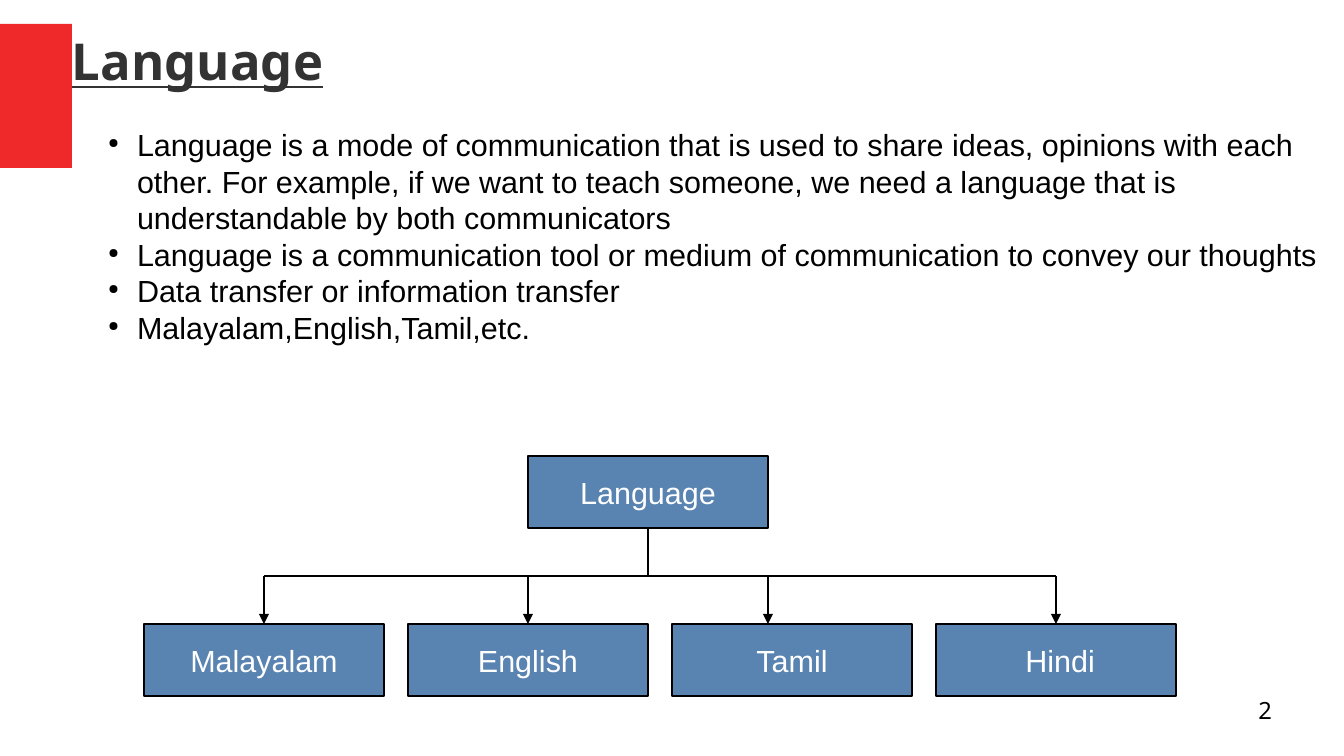
from lxml import etree
from pptx import Presentation
from pptx.dml.color import RGBColor
from pptx.enum.shapes import MSO_CONNECTOR as Link, MSO_SHAPE as Preset
from pptx.enum.text import MSO_ANCHOR as Anchor, PP_ALIGN as Align
from pptx.oxml.ns import qn
from pptx.util import Emu, Pt

SCALE = 914400 / 122
BOTTOM, TOP = 2, 0


def px(length):
    return Emu(round(length * SCALE))


def color(value):
    return RGBColor.from_string(value)


class Deck:
    BLACK, WHITE, RED, BLUE = "000000", "FFFFFF", "EF2929", "5983B0"
    BODY = {"name": "Arial", "size": Pt(18)}
    LINE_WIDTH = Pt(0.85)

    def __init__(self, width, height):
        self.file = Presentation()
        self.file.slide_width, self.file.slide_height = px(width), px(height)
        self.slide = self.file.slides.add_slide(self.file.slide_layouts[6])

    def add_words(self, paragraph, words, ink, font):
        run = paragraph.add_run()
        run.text = words
        run.font.color.rgb = color(ink)
        for key, value in font.items():
            setattr(run.font, key, value)

    def rect(self, x, y, w, h, fill, outline=None):
        shape = self.slide.shapes.add_shape(Preset.RECTANGLE, px(x), px(y), px(w), px(h))
        shape.shadow.inherit = False
        shape.fill.solid()
        shape.fill.fore_color.rgb = color(fill)
        if outline:
            shape.line.color.rgb = color(outline)
            shape.line.width = self.LINE_WIDTH
        else:
            shape.line.fill.background()
        return shape

    def node(self, x, y, w, h, label):
        box = self.rect(x, y, w, h, self.BLUE, self.BLACK)
        frame = box.text_frame
        frame.word_wrap = False
        frame.vertical_anchor = Anchor.MIDDLE
        frame.paragraphs[0].alignment = Align.CENTER
        self.add_words(frame.paragraphs[0], label, self.WHITE, self.BODY)
        return box

    def text(self, x, y, w, h, lines, ink, font, margins=(0, 0, 0, 0),
             anchor=Anchor.TOP, **layout):
        frame = self.slide.shapes.add_textbox(px(x), px(y), px(w), px(h)).text_frame
        frame.word_wrap = True
        frame.vertical_anchor = anchor
        for side, margin in zip(("left", "top", "right", "bottom"), margins):
            setattr(frame, "margin_" + side, px(margin))
        for index, words in enumerate(lines):
            paragraph = frame.add_paragraph() if index else frame.paragraphs[0]
            for key, value in layout.items():
                setattr(paragraph, key, value)
            self.add_words(paragraph, words, ink, font)
        return frame

    def bullets(self, x, y, w, h, points):
        frame = self.text(x, y, w, h, points, self.BLACK, self.BODY,
                          (12, 6, 12, 6), line_spacing=Pt(21.6))
        for paragraph in frame.paragraphs:
            props = paragraph._p.get_or_add_pPr()
            props.set("marL", str(px(29)))
            props.set("indent", str(px(-29)))
            tint = etree.SubElement(props, qn("a:buClr"))
            etree.SubElement(tint, qn("a:srgbClr"), val=self.BLACK)
            etree.SubElement(props, qn("a:buSzPct"), val="45000")
            etree.SubElement(props, qn("a:buChar"), char="●")

    def line(self, x1, y1, x2, y2, arrow=False):
        link = self.slide.shapes.add_connector(Link.STRAIGHT, px(x1), px(y1), px(x2), px(y2))
        link.line.color.rgb = color(self.BLACK)
        link.line.width = self.LINE_WIDTH
        if arrow:
            etree.SubElement(link.line._get_or_add_ln(), qn("a:tailEnd"), type="triangle")
        etree.SubElement(link._element.spPr, qn("a:effectLst"))
        return link


def main():
    deck = Deck(1344, 756)

    # Heading with its red tab
    deck.rect(0, 24, 72, 144, deck.RED)
    heading = {"name": "Noto Sans", "size": Pt(30), "bold": True, "underline": True}
    deck.text(72, 23, 1200, 144, ["Language"], "333333", heading,
              (0, 0, 0, 69), Anchor.MIDDLE)

    # Explanation
    deck.bullets(96, 120, 1248, 245, [
        "Language is a mode of communication that is used to share ideas, opinions with each "
        "other. For example, if we want to teach someone, we need a language that is "
        "understandable by both communicators",
        "Language is a communication tool or medium of communication to convey our thoughts",
        "Data transfer or information transfer",
        "Malayalam,English,Tamil,etc.",
    ])

    # Tree boxes
    box_w, box_h, step = 240, 72, 264
    root_x, root_y, row_x, bus_y, row_y = 528, 456, 144, 576, 624
    root = deck.node(root_x, root_y, box_w, box_h, "Language")
    languages = [deck.node(row_x + step * i, row_y, box_w, box_h, name)
                 for i, name in enumerate(("Malayalam", "English", "Tamil", " Hindi"))]

    # Branches: the third arrow drops from the root's right edge
    centers = [row_x + box_w // 2 + step * i for i in range(len(languages))]
    drops = centers[:2] + [root_x + box_w] + centers[3:]
    deck.line(drops[0], bus_y, drops[-1], bus_y)
    root_mid = root_x + box_w // 2
    stem = deck.line(root_mid, root_y + box_h, root_mid, bus_y)
    stem.begin_connect(root, BOTTOM)
    for x, center, language in zip(drops, centers, languages):
        branch = deck.line(x, bus_y, x, row_y, arrow=True)
        if x == center:
            branch.end_connect(language, TOP)

    # Page number
    deck.text(960, 696, 312, 52, ["2"], deck.BLACK,
              {"name": "Noto Sans", "size": Pt(14)}, alignment=Align.RIGHT)

    deck.file.save("out.pptx")


if __name__ == "__main__":
    main()
